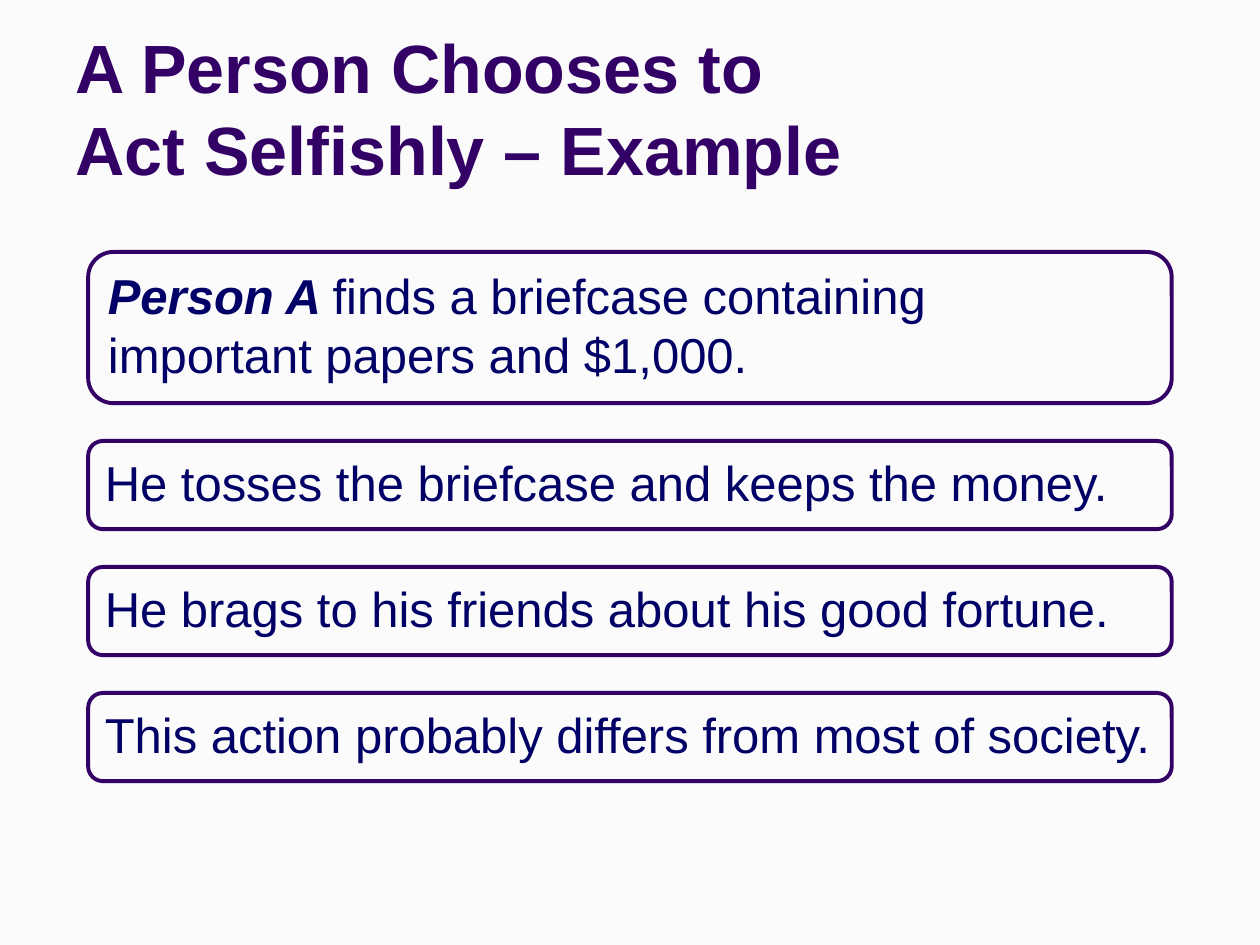
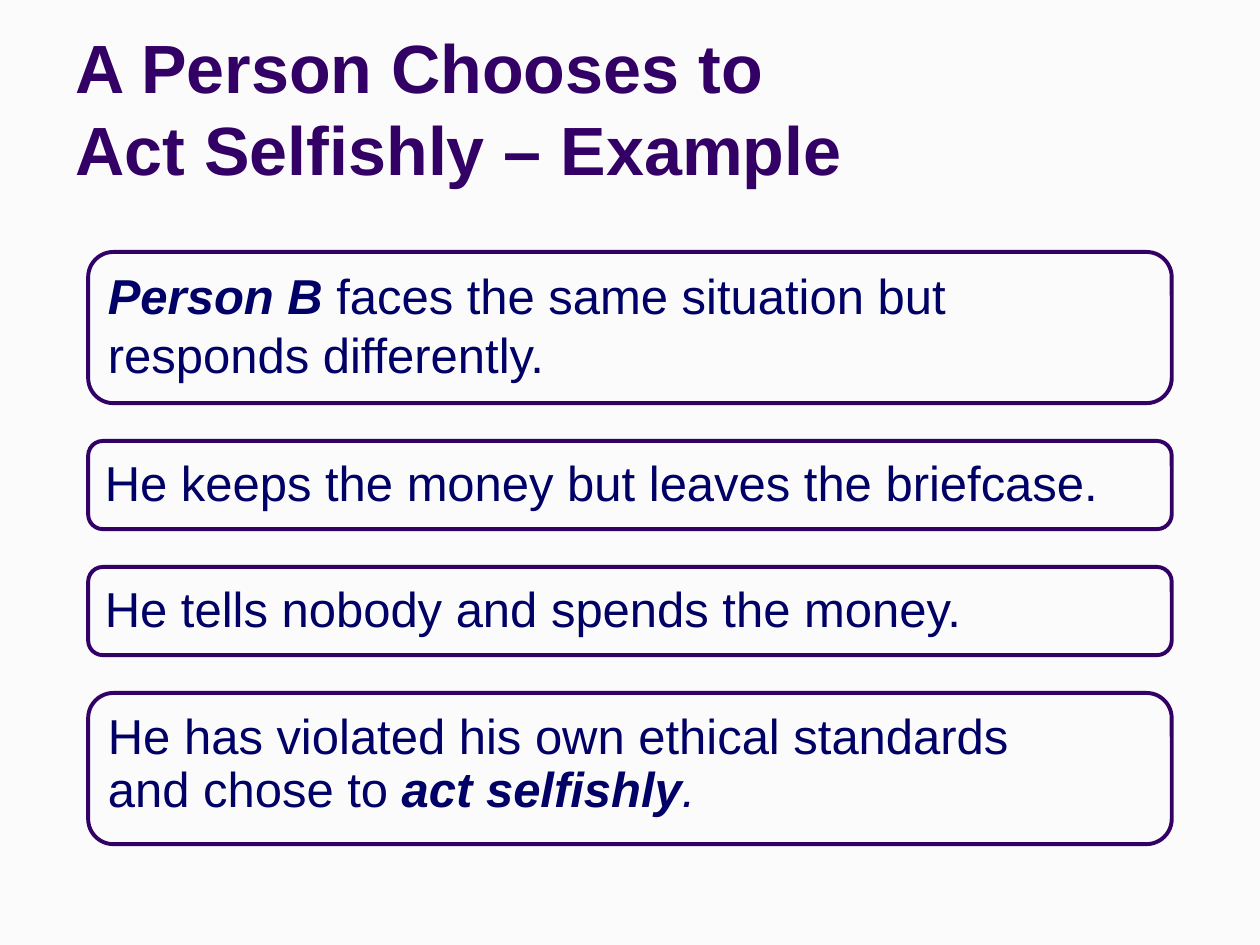
from dataclasses import dataclass
from typing import NamedTuple

from pptx import Presentation
from pptx.dml.color import RGBColor
from pptx.enum.shapes import MSO_SHAPE as Preset
from pptx.enum.text import MSO_ANCHOR as Anchor, MSO_AUTO_SIZE as AutoSize, PP_ALIGN as Align
from pptx.util import Inches, Length, Pt


@dataclass(frozen=True)
class Theme:
    font: str = "Arial"
    background: RGBColor = RGBColor(0xFB, 0xFB, 0xFB)
    heading: RGBColor = RGBColor(0x33, 0x00, 0x66)
    body: RGBColor = RGBColor(0x00, 0x00, 0x66)
    heading_size: Length = Pt(39)
    body_size: Length = Pt(28)
    outline: Length = Pt(2.25)


class Phrase(NamedTuple):
    text: str
    bold: bool = False
    italic: bool = False


@dataclass(frozen=True)
class Statement:
    lines: tuple[tuple[Phrase, ...], ...]
    line_spacing: float | None = None


@dataclass(frozen=True)
class Example:
    heading: tuple[str, ...]
    statements: tuple[Statement, ...]


THEME = Theme()
LEFT, TOP, WIDTH = Inches(0.7), Inches(2), Inches(8.6)
GAP = Inches(0.3)
HEIGHT_BY_LINES = {1: Inches(0.7), 2: Inches(1.2)}
HEADING = ("A Person Chooses to", "Act Selfishly – Example")


def plain(text: str) -> Statement:
    return Statement(((Phrase(text),),))


EXAMPLES = (
    Example(HEADING, (
        Statement((
            (Phrase("Person A ", True, True), Phrase("finds a briefcase containing")),
            (Phrase("important papers and $1,000."),),
        )),
        plain("He tosses the briefcase and keeps the money."),
        plain("He brags to his friends about his good fortune."),
        plain("This action probably differs from most of society."),
    )),
    Example(HEADING, (
        Statement((
            (Phrase("Person B ", True, True), Phrase("faces the same situation but")),
            (Phrase("responds differently."),),
        )),
        plain("He keeps the money but leaves the briefcase."),
        plain("He tells nobody and spends the money."),
        Statement((
            (Phrase("He has violated his own ethical standards"),),
            (Phrase("and chose to "), Phrase("act selfishly", True, True),
             Phrase(".", italic=True)),
        ), line_spacing=0.9),
    )),
)


def add_phrase(paragraph, phrase: Phrase, size: Length, color: RGBColor) -> None:
    run = paragraph.add_run()
    run.text = phrase.text
    run.font.name = THEME.font
    run.font.size = size
    run.font.bold = phrase.bold
    run.font.italic = phrase.italic
    run.font.color.rgb = color


def set_heading(slide, lines: tuple[str, ...]) -> None:
    heading = slide.shapes.title
    heading.left, heading.top = Inches(0.5), Inches(0.13)
    heading.width, heading.height = Inches(6.83), Inches(1.42)
    frame = heading.text_frame
    frame.word_wrap = True
    frame.auto_size = AutoSize.NONE
    frame.vertical_anchor = Anchor.BOTTOM
    paragraph = frame.paragraphs[0]
    paragraph.alignment = Align.LEFT
    for index, line in enumerate(lines):
        if index:
            paragraph.add_line_break()
        add_phrase(paragraph, Phrase(line, bold=True), THEME.heading_size, THEME.heading)


def add_statement(slide, statement: Statement, top: Length) -> Length:
    height = HEIGHT_BY_LINES[len(statement.lines)]
    panel = slide.shapes.add_shape(Preset.ROUNDED_RECTANGLE, LEFT, top, WIDTH, height)
    panel.shadow.inherit = False
    panel.fill.background()
    panel.line.color.rgb = THEME.heading
    panel.line.width = THEME.outline
    frame = panel.text_frame
    frame.word_wrap = False
    frame.vertical_anchor = Anchor.MIDDLE
    frame.margin_left = frame.margin_right = frame.margin_bottom = Inches(0.1)
    frame.margin_top = Inches(0.05)
    for index, phrases in enumerate(statement.lines):
        paragraph = frame.add_paragraph() if index else frame.paragraphs[0]
        paragraph.alignment = Align.LEFT
        paragraph.line_spacing = statement.line_spacing
        for phrase in phrases:
            add_phrase(paragraph, phrase, THEME.body_size, THEME.body)
    return Length(top + height + GAP)


def main() -> None:
    deck = Presentation()
    deck.slide_width, deck.slide_height = Inches(10), Inches(7.5)
    backdrop = deck.slide_master.background.fill
    backdrop.solid()
    backdrop.fore_color.rgb = THEME.background
    title_only = deck.slide_layouts.get_by_name("Title Only")
    for example in EXAMPLES:
        slide = deck.slides.add_slide(title_only)
        set_heading(slide, example.heading)
        top = TOP
        for statement in example.statements:
            top = add_statement(slide, statement, top)
    deck.save("out.pptx")


if __name__ == "__main__":
    main()
